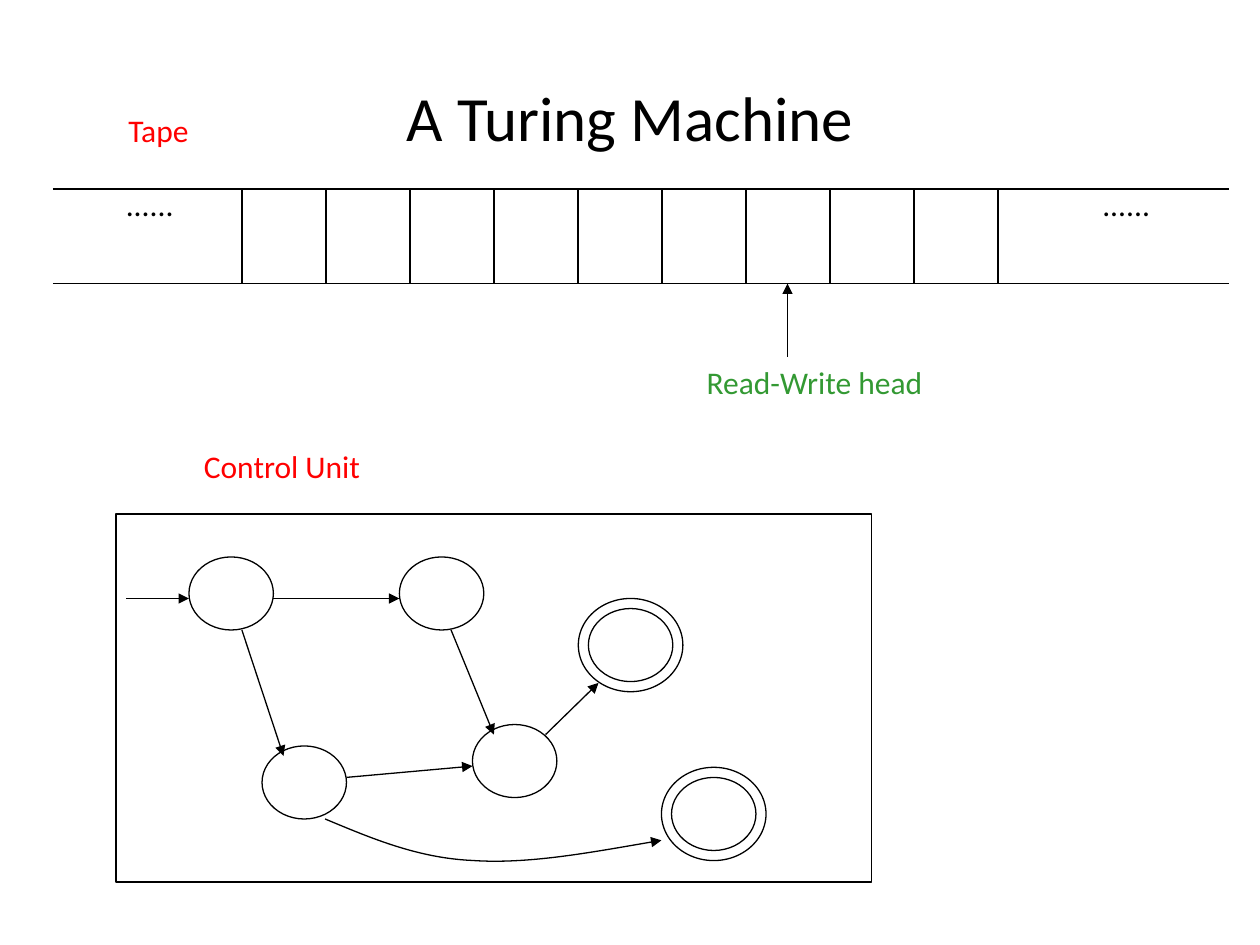
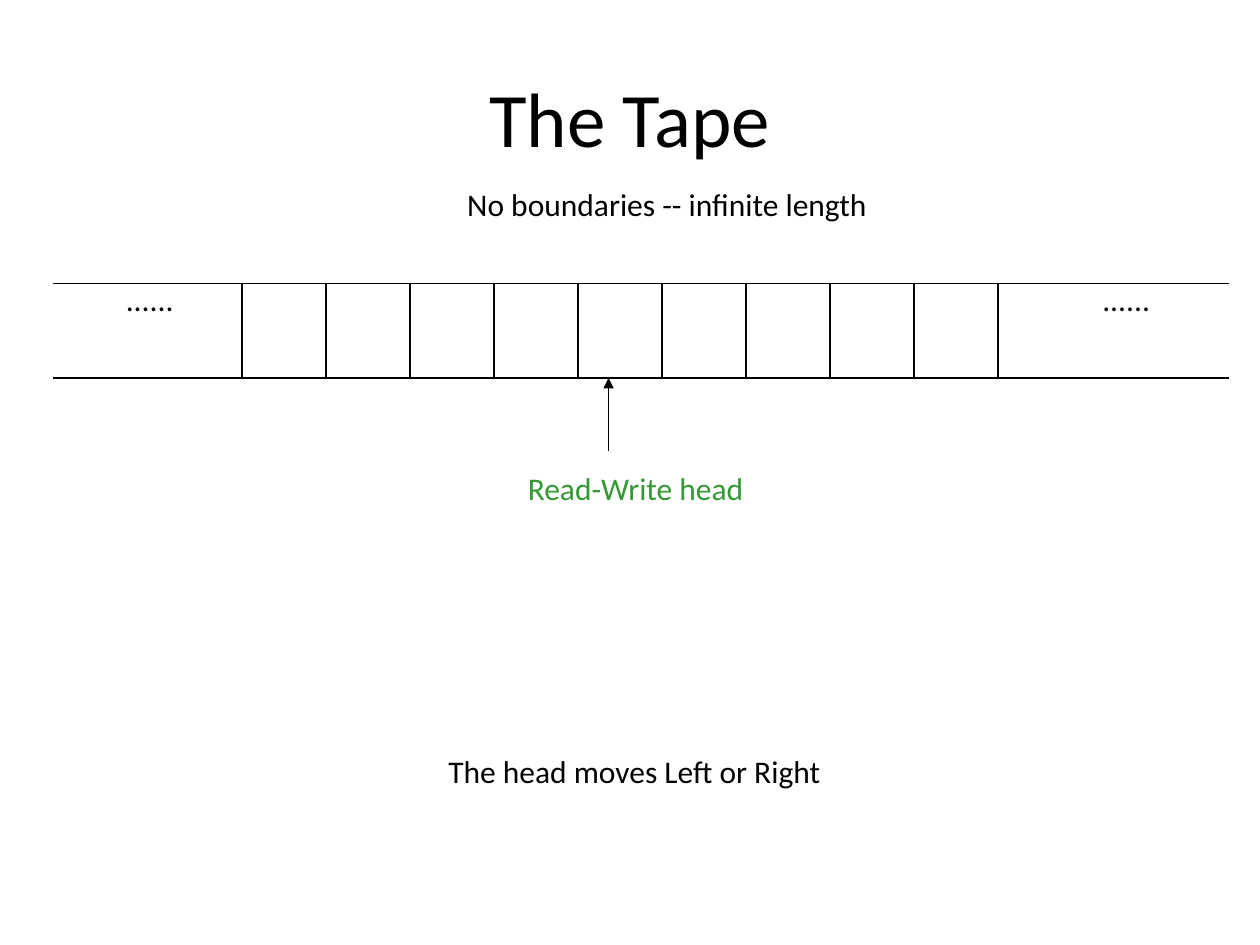
import dataclasses
import itertools
from typing import Any

import lxml.etree
import pptx
import pptx.dml.color
import pptx.enum.shapes
import pptx.enum.text
import pptx.oxml.ns
import pptx.slide
import pptx.util

Inches = pptx.util.Inches
Slide = pptx.slide.Slide
Point = tuple[float, float]
qn = pptx.oxml.ns.qn

COLORS = {"ink": "000000", "part": "FF0000", "head": "339933", "paper": "FFFFFF"}
FONT = "Calibri"
INSETS = {
    "margin_left": Inches(0.1),
    "margin_right": Inches(0.1),
    "margin_top": Inches(0.05),
    "margin_bottom": Inches(0.05),
}
LABEL_FRAME = INSETS | {
    "word_wrap": False,
    "auto_size": pptx.enum.text.MSO_AUTO_SIZE.SHAPE_TO_FIT_TEXT,
}
TITLE_FRAME = INSETS | {
    "word_wrap": True,
    "auto_size": pptx.enum.text.MSO_AUTO_SIZE.NONE,
    "vertical_anchor": pptx.enum.text.MSO_ANCHOR.MIDDLE,
}
TITLE_BOX = {
    "left": Inches(0.5),
    "top": Inches(0.3),
    "width": Inches(9),
    "height": Inches(1.25),
}

TAPE_LEFT, TAPE_RIGHT, TAPE_HEIGHT = 0.42, 9.75, 0.75
CELLS_LEFT, CELLS_WIDTH, CELL_COUNT = 1.92, 6, 9
STATE_WIDTH, STATE_HEIGHT, RING_GAP = 0.67, 0.58, 0.08


@dataclasses.dataclass(frozen=True)
class Label:
    text: str
    left: float
    top: float
    width: float
    color: str = "ink"


@dataclasses.dataclass(frozen=True)
class State:
    left: float
    top: float
    final: bool = False


@dataclasses.dataclass(frozen=True)
class Edge:
    start: Point
    end: Point


STATES = [
    State(1.5, 4.42),
    State(3.17, 4.42),
    State(3.75, 5.75),
    State(2.08, 5.92),
    State(4.67, 4.83, final=True),
    State(5.33, 6.17, final=True),
]
MOVES = [
    Edge((1, 4.75), (1.5, 4.75)),
    Edge((2.17, 4.75), (3.17, 4.75)),
    Edge((3.58, 5), (3.92, 5.83)),
    Edge((4.33, 5.83), (4.75, 5.42)),
    Edge((1.92, 5), (2.25, 6)),
    Edge((2.75, 6.17), (3.75, 6.08)),
]
CURVE = [
    (2.58, 6.5),
    (2.94, 6.65), (3.31, 6.81), (3.75, 6.83),
    (4.19, 6.86), (4.72, 6.76), (5.25, 6.67),
]


def apply(target: Any, values: dict[str, Any]) -> None:
    for name, value in values.items():
        setattr(target, name, value)


def rgb(color: str) -> pptx.dml.color.RGBColor:
    return pptx.dml.color.RGBColor.from_string(COLORS[color])


def style_text(frame: Any, size: float, color: str) -> None:
    font = frame.paragraphs[0].runs[0].font
    apply(font, {"name": FONT, "size": pptx.util.Pt(size)})
    font.color.rgb = rgb(color)


def style_line(shape: Any, arrow: bool = False) -> None:
    shape.line.width = pptx.util.Pt(0.75)
    shape.line.color.rgb = rgb("ink")
    if arrow:
        outline = shape.line._get_or_add_ln()
        lxml.etree.SubElement(outline, qn("a:tailEnd"), type="triangle")


def add_title(slide: Slide, text: str, size: float) -> None:
    title = slide.shapes.title
    apply(title, TITLE_BOX)
    frame = title.text_frame
    apply(frame, TITLE_FRAME)
    frame.text = text
    frame.paragraphs[0].alignment = pptx.enum.text.PP_ALIGN.CENTER
    style_text(frame, size, "ink")


def add_label(slide: Slide, label: Label) -> None:
    box = slide.shapes.add_textbox(
        Inches(label.left), Inches(label.top), Inches(label.width), Inches(0.4)
    )
    apply(box.text_frame, LABEL_FRAME)
    box.text_frame.text = label.text
    style_text(box.text_frame, 18, label.color)


def add_edge(slide: Slide, edge: Edge, arrow: bool = False) -> None:
    line = slide.shapes.add_connector(
        pptx.enum.shapes.MSO_CONNECTOR.STRAIGHT,
        *map(Inches, edge.start + edge.end),
    )
    style_line(line, arrow)
    lxml.etree.SubElement(line._element.spPr, qn("a:effectLst"))


def add_outline(
    slide: Slide, kind: Any, left: float, top: float, width: float, height: float
) -> None:
    shape = slide.shapes.add_shape(kind, *map(Inches, (left, top, width, height)))
    shape.shadow.inherit = False
    shape.fill.background()
    style_line(shape)


def add_state(slide: Slide, state: State) -> None:
    gaps = (RING_GAP, 0) if state.final else (0,)
    for gap in gaps:
        add_outline(
            slide,
            pptx.enum.shapes.MSO_SHAPE.OVAL,
            state.left - gap,
            state.top - gap,
            STATE_WIDTH + 2 * gap,
            STATE_HEIGHT + 2 * gap,
        )


def add_curve(slide: Slide, points: list[Point]) -> None:
    """Draw an arrow through a start point and triples of Bezier points."""
    start, *rest = [(Inches(x), Inches(y)) for x, y in points]
    builder = slide.shapes.build_freeform(*start, scale=1.0)
    builder.add_line_segments(rest, close=False)
    shape = builder.convert_to_shape()
    shape.shadow.inherit = False
    shape.fill.background()
    style_line(shape, arrow=True)

    steps = list(shape._element.iter(qn("a:lnTo")))
    for first in range(0, len(steps), 3):
        trio = steps[first:first + 3]
        bend = lxml.etree.SubElement(trio[0].getparent(), qn("a:cubicBezTo"))
        for step in trio:
            bend.append(step[0])
            step.getparent().remove(step)


def add_tape(slide: Slide, top: float) -> None:
    base = top + TAPE_HEIGHT
    for y in (top, base):
        add_edge(slide, Edge((TAPE_LEFT, y), (TAPE_RIGHT, y)))
    for index in range(CELL_COUNT + 1):
        x = CELLS_LEFT + index * CELLS_WIDTH / CELL_COUNT
        add_edge(slide, Edge((x, top), (x, base)))
    for left in (0.9, 8.65):
        add_label(slide, Label("......", left, top - 0.08, 0.58))


def add_head(slide: Slide, x: float, tip: float, gap: float) -> None:
    """Point at the tape from below, with the label a gap under the tip."""
    add_edge(slide, Edge((x, tip + 0.58), (x, tip)), arrow=True)
    add_label(slide, Label("Read-Write head", x - 0.74, tip + gap, 1.92, "head"))


def add_page(deck: Any, title: str, size: float, labels: list[Label]) -> Slide:
    slide = deck.slides.add_slide(deck.slide_layouts[5])
    slide.background.fill.solid()
    slide.background.fill.fore_color.rgb = rgb("paper")
    add_title(slide, title, size)
    for label in labels:
        add_label(slide, label)
    return slide


def draw_machine(deck: Any) -> None:
    slide = add_page(deck, "A Turing Machine", 36, [
        Label("Tape", 0.92, 0.83, 0.69, "part"),
        Label("Control Unit", 1.52, 3.5, 1.5, "part"),
    ])
    add_tape(slide, 1.5)
    add_head(slide, 6.25, 2.25, 0.58)
    add_outline(slide, pptx.enum.shapes.MSO_SHAPE.RECTANGLE, 0.92, 4.08, 6, 2.92)
    for state in STATES:
        add_state(slide, state)
    for move in MOVES:
        add_edge(slide, move, arrow=True)
    add_curve(slide, CURVE)


def draw_tape(deck: Any) -> None:
    slide = add_page(deck, "The Tape", 44, [
        Label("No boundaries -- infinite length", 3.61, 1.42, 3.38),
        Label("The head moves Left or Right", 3.46, 5.92, 3.17),
    ])
    add_tape(slide, 2.25)
    add_head(slide, 4.83, 3, 0.67)


def main() -> None:
    deck = pptx.Presentation()
    apply(deck, {"slide_width": Inches(10), "slide_height": Inches(7.5)})
    draw_machine(deck)
    draw_tape(deck)
    deck.save("out.pptx")


if __name__ == "__main__":
    main()
